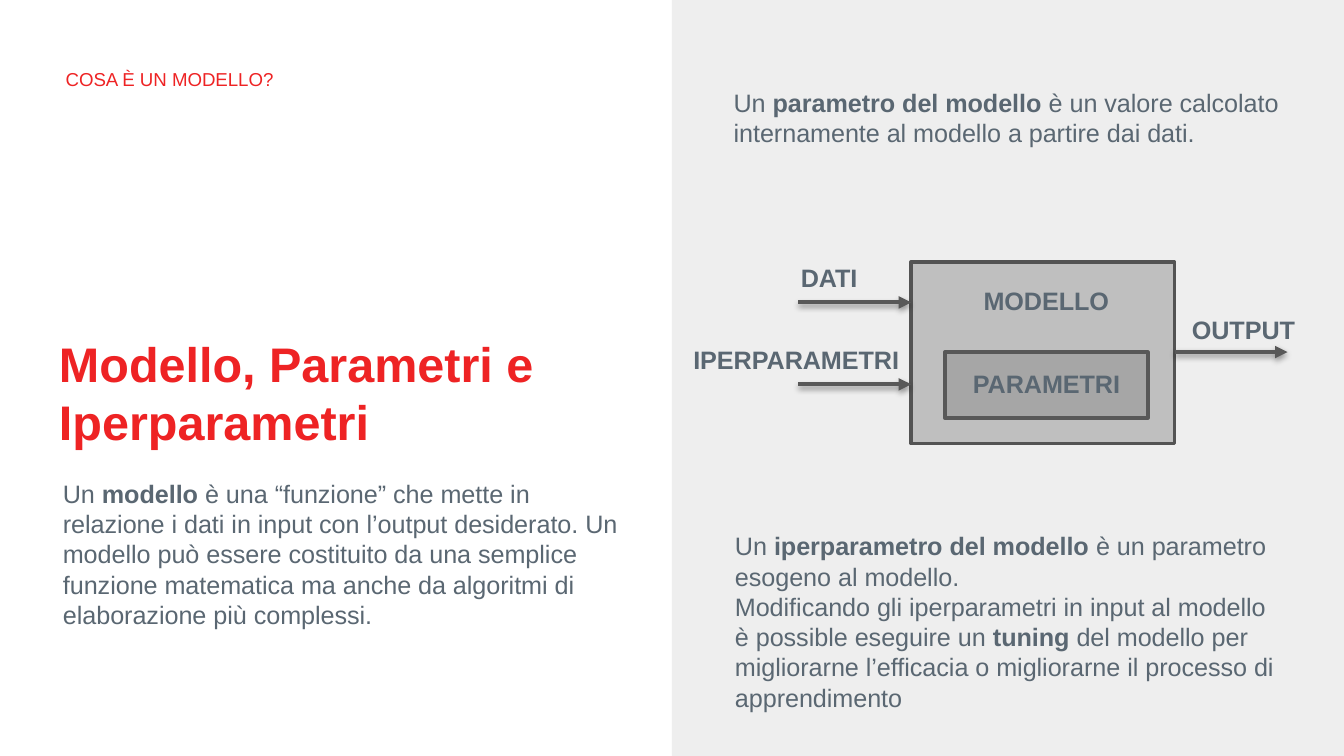
from lxml.etree import SubElement
from pptx import Presentation
from pptx.dml.color import RGBColor
from pptx.enum.shapes import MSO_CONNECTOR, MSO_SHAPE
from pptx.enum.text import MSO_ANCHOR
from pptx.oxml.ns import qn
from pptx.util import Inches, Pt

RED, GREY, DARK = "EE2324", "5A6772", "585858"
WIDE = 10
HIGH = WIDE * 9 / 16

HEADS = [
    ("COSA È UN MODELLO?", (0.39, 0.43, 4.24, 0.31), 10, False),
    ("Modello, Parametri e Iperparametri", (0.34, 2.47, 4.45, 0.9), 26, True),
]

BODIES = [
    ((0.37, 3.46, 4.54, 1.93), 0.24, [
        ["Un ", "modello ", "è una “funzione” che mette in relazione i dati in input "
         "con l’output desiderato. Un modello può essere costituito da una semplice "
         "funzione matematica ma anche da algoritmi di elaborazione più complessi."],
    ]),
    ((5.36, 0.55, 4.45, 0.67), 0.1, [
        ["Un ", "parametro del modello ",
         "è un valore calcolato internamente al modello a partire dai dati."],
    ]),
    ((5.37, 3.85, 4.45, 1.54), 0.3, [
        ["Un ", "iperparametro del modello ", "è un parametro esogeno al modello."],
        ["Modificando gli iperparametri in input al modello è possible eseguire un ",
         "tuning", " del modello per migliorarne l’efficacia o migliorarne il processo "
         "di apprendimento"],
    ]),
]

PANEL = (WIDE / 2, 0, WIDE / 2, HIGH)
MODEL = (6.78, 1.95, 1.96, 1.35)
PARAMS = (7.03, 2.62, 1.51, 0.49)
REACH = 0.84
ARROWS = [
    (MODEL[0] + MODEL[2], 2.62),
    (MODEL[0] - REACH, 2.25),
    (MODEL[0] - REACH, 2.86),
]
LABELS = [
    ("MODELLO", 7.22, 2.02, 1.32),
    ("PARAMETRI", 7.14, 2.64, 1.51),
    ("DATI", 5.86, 1.85, 1.32),
    ("IPERPARAMETRI", 5.06, 2.46, 2.09),
    ("OUTPUT", 8.77, 2.24, 1.23),
]


def color(code):
    return RGBColor.from_string(code)


def place(box):
    return [Inches(n) for n in box]


def add_text(paras, box, size=13.5, ink=GREY, bold=False, pad=0.1,
             anchor=MSO_ANCHOR.TOP):
    frame = slide.shapes.add_textbox(*place(box)).text_frame
    frame.word_wrap = True
    frame.vertical_anchor = anchor
    frame.margin_left = frame.margin_top = frame.margin_bottom = Inches(0.1)
    frame.margin_right = Inches(pad)
    for i, parts in enumerate(paras):
        para = frame.add_paragraph() if i else frame.paragraphs[0]
        for j, part in enumerate(parts):
            run = para.add_run()
            run.text = part
            run.font.name = "Arial"
            run.font.size = Pt(size)
            run.font.bold = bold or j % 2 == 1
            run.font.color.rgb = color(ink)


def add_rect(box, fill, edge=None):
    rect = slide.shapes.add_shape(MSO_SHAPE.RECTANGLE, *place(box))
    rect.shadow.inherit = False
    rect.fill.solid()
    rect.fill.fore_color.rgb = color(fill)
    if edge:
        rect.line.color.rgb = color(edge)
        rect.line.width = Pt(2)
    else:
        rect.line.fill.background()


def add_arrow(left, top):
    ends = place((left, top, left + REACH, top))
    arrow = slide.shapes.add_connector(MSO_CONNECTOR.STRAIGHT, *ends)
    arrow.line.color.rgb = color(DARK)
    arrow.line.width = Pt(2.25)
    props = arrow._element.spPr
    SubElement(props.find(qn("a:ln")), qn("a:tailEnd"), type="triangle")
    effects = SubElement(props, qn("a:effectLst"))
    shade = SubElement(effects, qn("a:outerShdw"), blurRad="40000", dist="20000",
                       dir="5400000", rotWithShape="0")
    black = SubElement(shade, qn("a:srgbClr"), val="000000")
    SubElement(black, qn("a:alpha"), val="38000")


deck = Presentation()
deck.slide_width, deck.slide_height = Inches(WIDE), Inches(HIGH)
slide = deck.slides.add_slide(deck.slide_layouts[6])

add_rect(PANEL, "EEEEEE")
for text, box, size, bold in HEADS:
    add_text([[text]], box, size=size, ink=RED, bold=bold, anchor=MSO_ANCHOR.MIDDLE)
for box, pad, paras in BODIES:
    add_text(paras, box, pad=pad)
add_rect(MODEL, "BFBFBF", edge="535353")
add_rect(PARAMS, "A6A6A6", edge=DARK)
for left, top in ARROWS:
    add_arrow(left, top)
for text, left, top, width in LABELS:
    add_text([[text]], (left, top, width, 0.45), bold=True)

deck.save("out.pptx")
